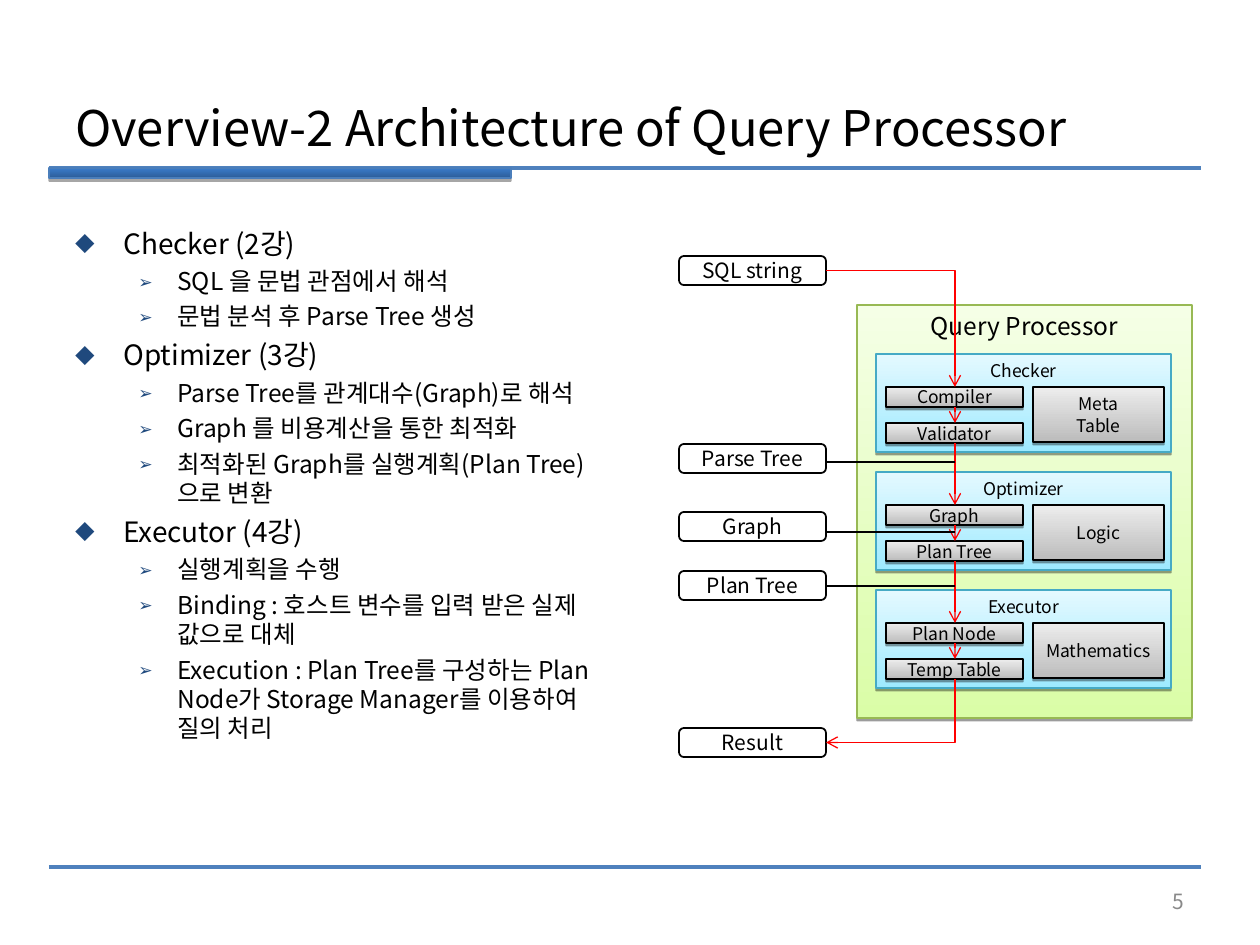
from lxml import etree
from pptx import Presentation
from pptx import util as u
from pptx.dml.color import RGBColor
from pptx.enum import shapes, text
from pptx.oxml import ns

TITLE = "Overview-2 Architecture of Query Processor"
OUTLINE = [
    ("Checker (2강)", ["SQL 을 문법 관점에서 해석", "문법 분석 후 Parse Tree 생성"]),
    ("Optimizer (3강)", ["Parse Tree를 관계대수(Graph)로 해석", "Graph 를 비용계산을 통한 최적화",
                        "최적화된 Graph를 실행계획(Plan Tree)으로 변환"]),
    ("Executor (4강)", ["실행계획을 수행", "Binding : 호스트 변수를 입력 받은 실제 값으로 대체",
                       "Execution : Plan Tree를 구성하는 Plan Node가 Storage Manager를 이용하여 질의 처리"]),
]
STAGES = [
    ("Checker", ["Compiler", "Validator"], ["Meta", "Table"]),
    ("Optimizer", ["Graph", "Plan Tree"], ["Logic"]),
    ("Executor", ["Plan Node", "Temp Table"], ["Mathematics"]),
]
LABELS = [("SQL string", 256, None), ("Parse Tree", 444, 462), ("Graph", 512, 532),
          ("Plan Tree", 571, 586), ("Result", 728, None)]
COLORS = {"black": "000000", "white": "FFFFFF", "rule": "4F81BD", "bar_line": "4A7EBB",
          "bullet": "1F497D", "page": "898989", "flow": "FF0000",
          "processor": "98B954", "stage": "46AAC5"}
GRADIENTS = {"bar": ("2C5D98", "3A7CCB"), "processor": ("DAFDA7", "F5FFE6"),
             "stage": ("9EEAFF", "E4F9FF"), "step": ("BCBCBC", "EDEDED")}
BULLETS = [("◆", 16, 4, 48, 48), ("➢", 14, 3.5, 102, 39)]
FONT = "Noto Sans CJK KR"
SCALE = 914400 / 126

STAGE_TOP, STAGE_PITCH = 354, 118
STEP_TOPS, STEP_H = (33, 69), 20
FLOW_X, LABEL_X, LABEL_W, LABEL_H = 955, 679, 147, 29
LABEL_RIGHT = LABEL_X + LABEL_W


def px(n):
    return u.Emu(round(n * SCALE))


def rgb(name):
    return RGBColor.from_string(COLORS.get(name, name))


def child(parent, tag, **attrs):
    return etree.SubElement(parent, ns.qn(tag), {k: str(v) for k, v in attrs.items()})


def add_run(p, words, size, color="black"):
    r = p.add_run()
    r.text = words
    r.font.size = u.Pt(size)
    r.font.name = FONT
    r.font.color.rgb = rgb(color)
    child(r._r.get_or_add_rPr(), "a:ea", typeface=FONT)


def write(sp, lines, size, align, anchor, color="black"):
    tf = sp.text_frame
    tf.word_wrap = True
    tf.vertical_anchor = anchor
    for i, line in enumerate(lines):
        p = tf.add_paragraph() if i else tf.paragraphs[0]
        p.alignment = align
        add_run(p, line, size, color)


def add_text(s, box, *args):
    write(s.shapes.add_textbox(*map(px, box)), *args)


def add_box(s, box, line, width=0.75, gradient=None, kind=shapes.MSO_SHAPE.RECTANGLE, opacity=38, dist=1.6):
    sp = s.shapes.add_shape(kind, *map(px, box))
    if gradient:
        sp.fill.gradient()
        sp.fill.gradient_angle = 90
        for stop, color in zip(sp.fill.gradient_stops, GRADIENTS[gradient]):
            stop.color.rgb = rgb(color)
    else:
        sp.fill.solid()
        sp.fill.fore_color.rgb = rgb("white")
    sp.line.color.rgb = rgb(line)
    sp.line.width = u.Pt(width)
    sp.shadow.inherit = False
    if gradient:
        effects = sp._element.spPr.find(ns.qn("a:effectLst"))
        shadow = child(effects, "a:outerShdw", blurRad=0, dist=u.Pt(dist), dir=5400000, rotWithShape=0)
        child(child(shadow, "a:srgbClr", val=COLORS["black"]), "a:alpha", val=opacity * 1000)
    return sp


def add_line(s, x1, y1, x2, y2, color, width=0.75, arrow=False, bent=False, rot=0):
    kind = shapes.MSO_CONNECTOR.ELBOW if bent else shapes.MSO_CONNECTOR.STRAIGHT
    c = s.shapes.add_connector(kind, px(x1), px(y1), px(x2), px(y2))
    c.line.color.rgb = rgb(color)
    c.line.width = u.Pt(width)
    spPr = c._element.spPr
    if bent:
        spPr.find(ns.qn("a:prstGeom")).set("prst", "bentConnector2")
        spPr.find(ns.qn("a:xfrm")).set("rot", str(rot * 60000))
    if arrow:
        child(c.line._get_or_add_ln(), "a:tailEnd", type="arrow")
    child(spPr, "a:effectLst")


def add_outline(s):
    tf = s.shapes.add_textbox(*map(px, (63, 220, 557, 624))).text_frame
    tf.word_wrap = True
    items = [item for head, subs in OUTLINE for item in [(0, head)] + [(1, t) for t in subs]]
    for i, (level, words) in enumerate(items):
        char, size, before, margin, hang = BULLETS[level]
        p = tf.add_paragraph() if i else tf.paragraphs[0]
        p.level = level
        if i:
            p.space_before = u.Pt(before)
        pPr = p._p.get_or_add_pPr()
        pPr.set("marL", str(px(margin)))
        pPr.set("indent", str(px(-hang)))
        child(child(pPr, "a:buClr"), "a:srgbClr", val=COLORS["bullet"])
        child(pPr, "a:buSzPct", val=70000)
        child(pPr, "a:buFont", typeface=FONT)
        child(pPr, "a:buChar", char=char)
        add_run(p, words, size)


def add_processor(s):
    center, top, middle = text.PP_ALIGN.CENTER, text.MSO_ANCHOR.TOP, text.MSO_ANCHOR.MIDDLE
    sp = add_box(s, (857, 305, 335, 413), "processor", gradient="processor")
    write(sp, ["Query Processor"], 14, center, top)
    step_tops = []
    for i, (name, steps, resource) in enumerate(STAGES):
        y = STAGE_TOP + i * STAGE_PITCH
        sp = add_box(s, (876, y, 295, 98), "stage", gradient="stage")
        write(sp, [name], 10, center, top)
        parts = [((886, y + dy, 137, STEP_H), [step]) for dy, step in zip(STEP_TOPS, steps)]
        parts.append(((1033, y + STEP_TOPS[0], 131, 55), resource))
        for box, lines in parts:
            write(add_box(s, box, "black", gradient="step"), lines, 10, center, middle)
        step_tops += [y + dy for dy in STEP_TOPS]
    for name, y, _ in LABELS:
        sp = add_box(s, (LABEL_X, y, LABEL_W, LABEL_H), "black", 1,
                     kind=shapes.MSO_SHAPE.ROUNDED_RECTANGLE)
        write(sp, [name], 12, center, middle)

    start, end = (LABELS[k][1] + LABEL_H / 2 for k in (0, -1))
    add_line(s, LABEL_RIGHT, start, FLOW_X, step_tops[0], "flow", arrow=True, bent=True)
    for y1, y2 in zip(step_tops, step_tops[1:]):
        add_line(s, FLOW_X, y1 + STEP_H, FLOW_X, y2, "flow", arrow=True)
    last = step_tops[-1] + STEP_H
    cx, cy = (LABEL_RIGHT + FLOW_X) / 2, (last + end) / 2
    dx, dy = (end - last) / 2, (FLOW_X - LABEL_RIGHT) / 2
    add_line(s, cx - dx, cy - dy, cx + dx, cy + dy, "flow", arrow=True, bent=True, rot=90)
    for _, _, y in LABELS:
        if y:
            add_line(s, FLOW_X, y, LABEL_RIGHT, y, "black")


def main():
    prs = Presentation()
    prs.slide_width, prs.slide_height = px(1260), px(945)
    s = prs.slides.add_slide(prs.slide_layouts[6])
    for y in (867, 168):
        add_line(s, 49, y, 1201, y, "rule", 2)
    add_box(s, (49, 168, 462, 10), "bar_line", gradient="bar", opacity=35, dist=1.8)
    middle = text.MSO_ANCHOR.MIDDLE
    add_text(s, (63, 88, 1134, 78), [TITLE], 28, text.PP_ALIGN.LEFT, middle)
    add_text(s, (903, 876, 294, 50), ["5"], 12, text.PP_ALIGN.RIGHT, middle, "page")
    add_outline(s)
    add_processor(s)
    prs.save("out.pptx")


if __name__ == "__main__":
    main()
